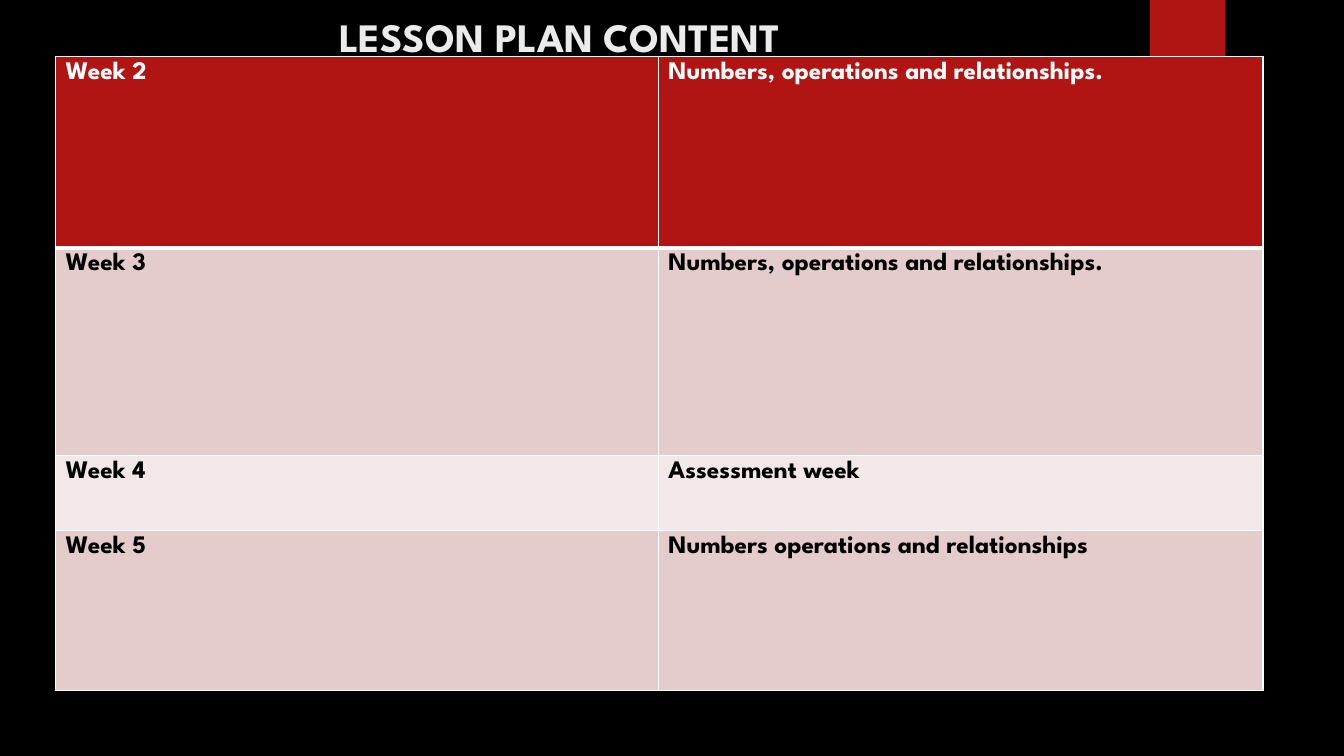
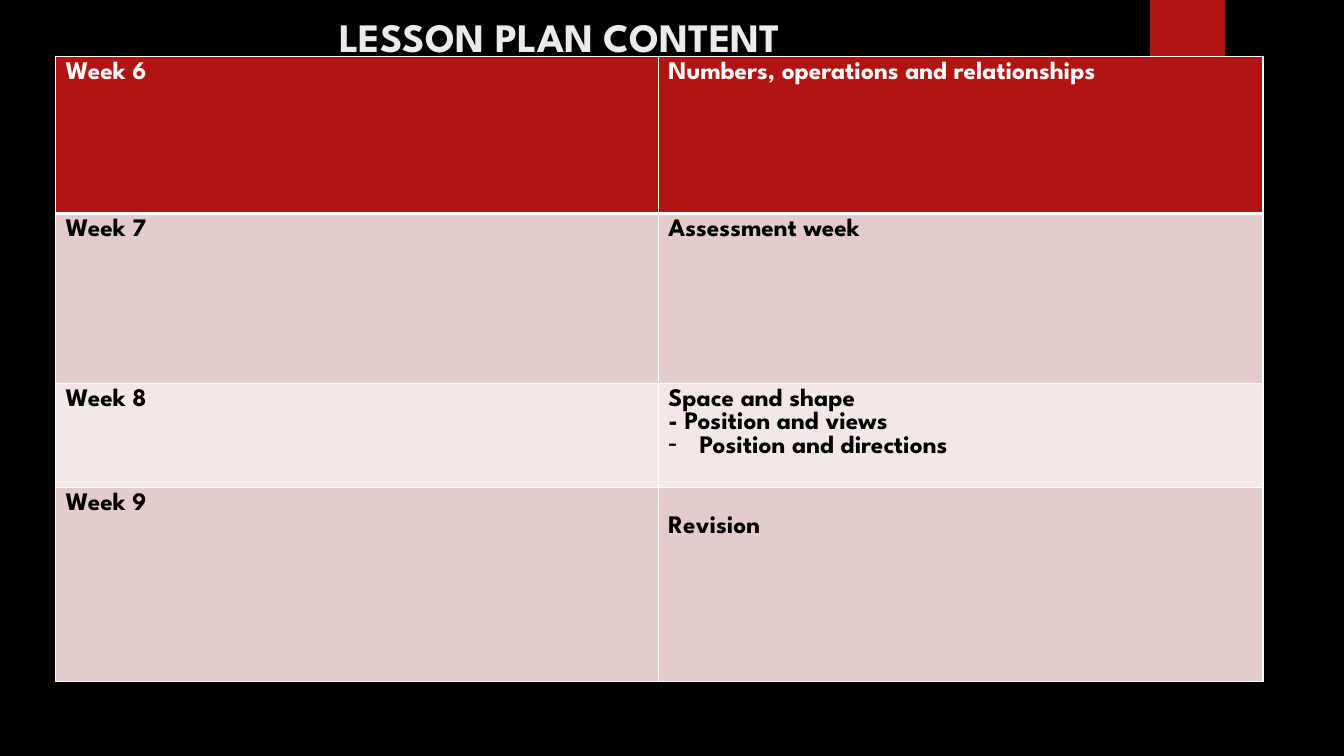
import lxml.etree
import pptx
import pptx.dml.color
import pptx.enum.shapes
import pptx.enum.text
import pptx.oxml.ns
import pptx.util

Cm = pptx.util.Cm
Pt = pptx.util.Pt
RGBColor = pptx.dml.color.RGBColor
qn = pptx.oxml.ns.qn

BLACK = RGBColor(0x00, 0x00, 0x00)
WHITE = RGBColor(0xFF, 0xFF, 0xFF)
TITLE_GREY = RGBColor(0xEB, 0xEB, 0xEB)
RED = RGBColor(0xB0, 0x15, 0x13)
PINK = RGBColor(0xE4, 0xCC, 0xCC)
PALE_PINK = RGBColor(0xF2, 0xE8, 0xE7)

FONT = "League Spartan"
COLUMN_WIDTHS = (15.19, 15.24)
BULLET = "\t"

WEEK_TABLES = [
    [
        (4.83, "Week 2", ["Numbers, operations and relationships."], 0.13),
        (5.23, "Week 3", ["Numbers, operations and relationships."], 0.13),
        (1.88, "Week 4", ["Assessment week"], 0.13),
        (4.04, "Week 5", ["Numbers operations and relationships"], 0.13),
    ],
    [
        (3.96, "Week 6", ["Numbers, operations and relationships"], 0.13),
        (4.29, "Week 7", ["Assessment week"], 0.13),
        (2.62, "Week 8", ["Space and shape", "- Position and views",
                          BULLET + "Position and directions"], 0.13),
        (4.88, "Week 9", ["Revision"], 0.71),
    ],
]


def write(paragraph, text, size=18, color=BLACK, bullet=None):
    if bullet:
        properties = paragraph._p.get_or_add_pPr()
        properties.set("marL", str(Cm(0.79)))
        properties.set("indent", str(-Cm(0.79)))
        lxml.etree.SubElement(properties, qn("a:buChar")).set("char", bullet)
    paragraph.alignment = pptx.enum.text.PP_ALIGN.LEFT
    run = paragraph.add_run()
    run.text = text
    run.font.name = FONT
    run.font.size = Pt(size)
    run.font.bold = True
    run.font.color.rgb = color


def set_borders(cell, top, bottom):
    properties = cell._tc.get_or_add_tcPr()
    for side, width in (("L", 1), ("R", 1), ("T", top), ("B", bottom)):
        line = lxml.etree.SubElement(properties, qn("a:ln" + side))
        line.set("w", str(Pt(width)))
        fill = lxml.etree.SubElement(line, qn("a:solidFill"))
        lxml.etree.SubElement(fill, qn("a:srgbClr")).set("val", str(WHITE))


class LessonDeck:
    def __init__(self):
        self.presentation = pptx.Presentation()
        self.presentation.slide_width = Cm(33.87)
        self.presentation.slide_height = Cm(19.05)
        background = self.presentation.slide_master.background.fill
        background.solid()
        background.fore_color.rgb = BLACK
        self.slide = None

    def add_slide(self, title):
        layout = self.presentation.slide_layouts.get_by_name("Title Only")
        self.slide = self.presentation.slides.add_slide(layout)
        self.add_tab()
        self.add_title(title)

    def add_tab(self):
        tab = self.slide.shapes.add_shape(
            pptx.enum.shapes.MSO_SHAPE.RECTANGLE,
            Cm(28.98), Cm(0), Cm(1.9), Cm(3.18))
        tab.shadow.inherit = False
        tab.fill.solid()
        tab.fill.fore_color.rgb = RED
        tab.line.fill.background()

    def add_title(self, text):
        title = self.slide.shapes.title
        title.left, title.top = Cm(1.8), Cm(-0.71)
        title.width, title.height = Cm(26.14), Cm(2.34)
        frame = title.text_frame
        frame.auto_size = pptx.enum.text.MSO_AUTO_SIZE.NONE
        frame.vertical_anchor = pptx.enum.text.MSO_ANCHOR.BOTTOM
        frame.margin_left = Cm(6.75)
        frame.margin_bottom = Cm(0.1)
        write(frame.paragraphs[0], text, size=28.8, color=TITLE_GREY)

    def add_week_table(self, weeks):
        height = sum(week[0] for week in weeks)
        table = self.slide.shapes.add_table(
            len(weeks), len(COLUMN_WIDTHS), Cm(1.4), Cm(1.42),
            Cm(sum(COLUMN_WIDTHS)), Cm(height)).table
        table.first_row = True
        table.horz_banding = False
        for column, width in zip(table.columns, COLUMN_WIDTHS):
            column.width = Cm(width)
        for index, (height, week, topics, topic_margin) in enumerate(weeks):
            table.rows[index].height = Cm(height)
            self.fill_cell(table.cell(index, 0), index, [week], 0.13)
            self.fill_cell(table.cell(index, 1), index, topics, topic_margin)

    def fill_cell(self, cell, row, lines, top_margin):
        is_header = row == 0
        set_borders(cell, top=3 if row == 1 else 1, bottom=3 if is_header else 1)
        cell.fill.solid()
        cell.fill.fore_color.rgb = (
            RED if is_header else PINK if row % 2 else PALE_PINK)
        cell.margin_top = Cm(top_margin)
        frame = cell.text_frame
        for index, line in enumerate(lines):
            paragraph = frame.add_paragraph() if index else frame.paragraphs[0]
            write(paragraph, line.lstrip(BULLET),
                  color=WHITE if is_header else BLACK,
                  bullet="-" if line.startswith(BULLET) else None)


def main():
    deck = LessonDeck()
    for weeks in WEEK_TABLES:
        deck.add_slide("LESSON PLAN CONTENT")
        deck.add_week_table(weeks)
    deck.presentation.save("out.pptx")


if __name__ == "__main__":
    main()
